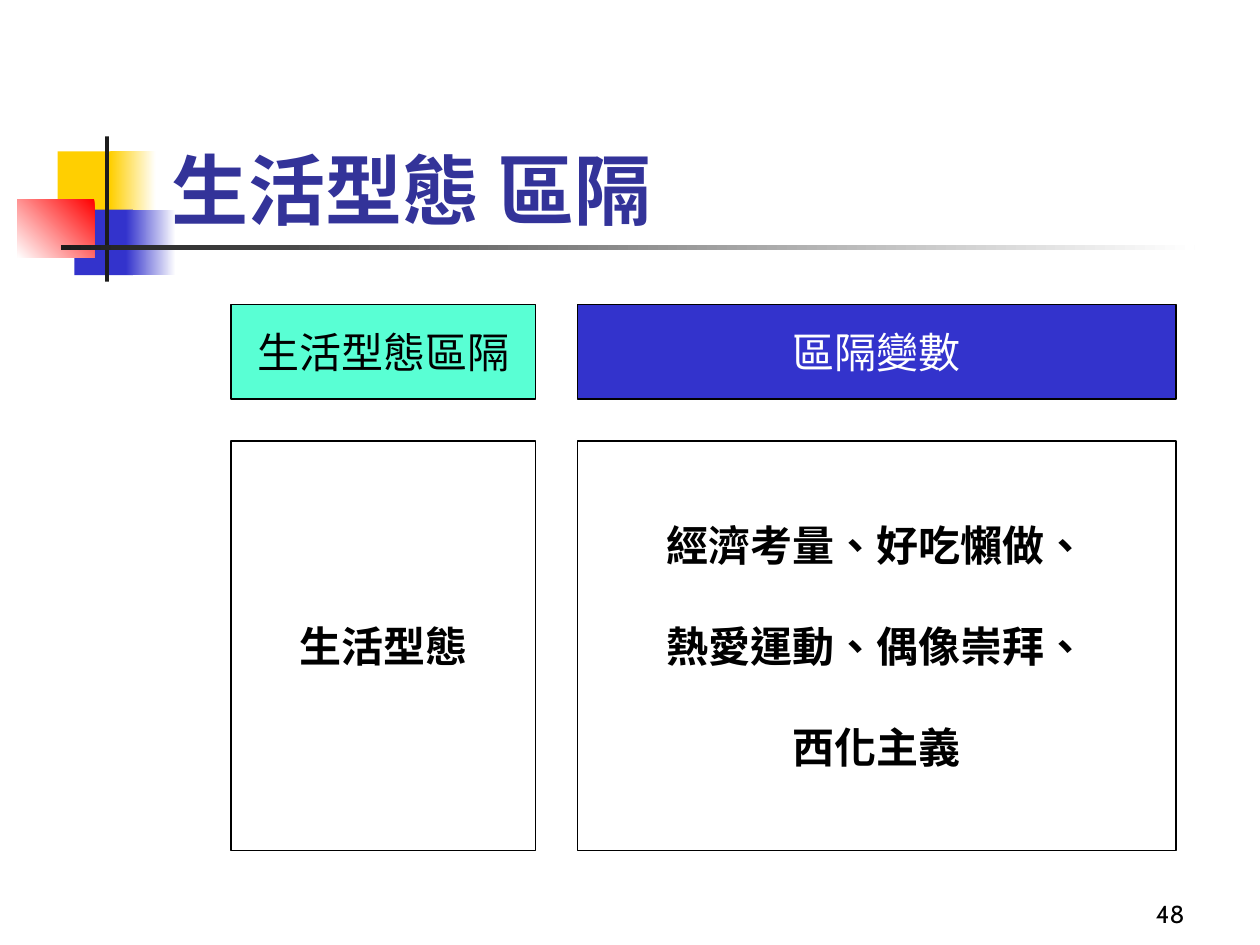
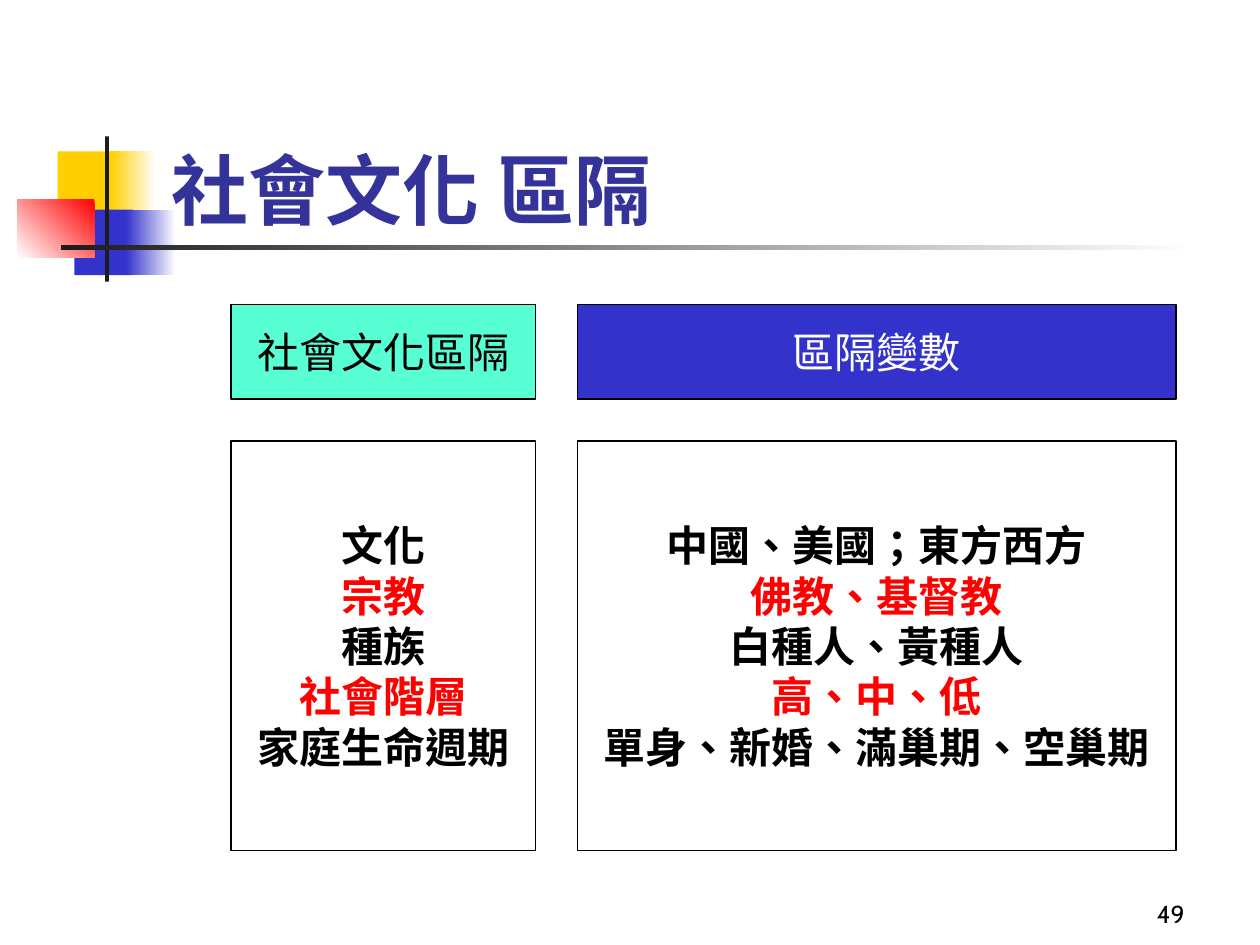
from pptx import Presentation
from pptx.dml.color import RGBColor
from pptx.enum.lang import MSO_LANGUAGE_ID
from pptx.enum.shapes import MSO_SHAPE
from pptx.enum.text import MSO_ANCHOR, MSO_AUTO_SIZE, PP_ALIGN
from pptx.util import Pt

BLACK, WHITE, RED = "000000", "FFFFFF", "FF0000"
YELLOW, BLUE, MINT = "FFCF01", "3333CC", "59FFD4"
CHARCOAL, TITLE_BLUE = "1C1C1C", "333399"

# Each body line is a text and its colour; line_gap is the space between lines.
SLIDES = [
    {
        "title": "生活型態 區隔",
        "number": "48",
        "headings": ["生活型態區隔", "區隔變數"],
        "line_gap": 28.8,
        "bodies": [
            [("生活型態", BLACK)],
            [("經濟考量、好吃懶做、", BLACK),
             ("熱愛運動、偶像崇拜、", BLACK),
             ("西化主義", BLACK)],
        ],
    },
    {
        "title": "社會文化 區隔",
        "number": "49",
        "headings": ["社會文化區隔", "區隔變數"],
        "line_gap": 0,
        "bodies": [
            [("文化", BLACK), ("宗教", RED), ("種族", BLACK),
             ("社會階層", RED), ("家庭生命週期", BLACK)],
            [("中國、美國；東方西方", BLACK), ("佛教、基督教", RED),
             ("白種人、黃種人", BLACK), ("高、中、低", RED),
             ("單身、新婚、滿巢期、空巢期", BLACK)],
        ],
    },
]

# Left, top, width, height, colour, angle of the fade to white (None: solid)
DECORATIONS = [
    (33, 86.5, 34.5, 37.5, YELLOW, None),
    (63, 86.5, 26, 37.5, YELLOW, 0),
    (42.5, 119.75, 33.5, 37.5, BLUE, None),
    (72, 119.75, 28.5, 37.5, BLUE, 0),
    (10, 113.75, 44, 33.5, RED, 225),
    (60, 78, 2.25, 83, CHARCOAL, None),
    (34.75, 140.25, 648, 2.5, CHARCOAL, 0),
]

TITLE_AREA = (91, 48, 613, 90)
NUMBER_AREA = (534, 498, 150, 36)
GRID_LEFT, GRID_TOP, GRID_GAP = 132, 174, 24
COLUMN_WIDTHS = (174, 342)
HEADING_HEIGHT, BODY_HEIGHT = 54, 234
HEADING_STYLES = [(MINT, BLACK), (BLUE, WHITE)]

TITLE_FONT = {"name": "Lato", "size": Pt(44), "bold": True}
HEADING_FONT = {"name": "Cabin", "size": Pt(24), "bold": False}
BODY_FONT = {**HEADING_FONT, "bold": True}
NUMBER_FONT = {**HEADING_FONT, "size": Pt(14)}


def rgb(value):
    return RGBColor.from_string(value)


def points(values):
    return [Pt(value) for value in values]


def write(paragraph, text, font_values, color, alignment):
    paragraph.alignment = alignment
    run = paragraph.add_run()
    run.text = text
    for name, value in font_values.items():
        setattr(run.font, name, value)
    run.font.language_id = MSO_LANGUAGE_ID.TRADITIONAL_CHINESE
    run.font.color.rgb = rgb(color)


def add_rectangle(slide, area, color):
    shape = slide.shapes.add_shape(MSO_SHAPE.RECTANGLE, *points(area))
    shape.shadow.inherit = False
    shape.fill.solid()
    shape.fill.fore_color.rgb = rgb(color)
    return shape


def add_box(slide, area, fill, lines, font_values, line_gap=0):
    box = add_rectangle(slide, area, fill)
    box.line.color.rgb = rgb(BLACK)
    box.line.width = Pt(0.75)
    frame = box.text_frame
    frame.word_wrap = False
    frame.vertical_anchor = MSO_ANCHOR.MIDDLE
    for index, (text, color) in enumerate(lines):
        paragraph = frame.add_paragraph() if index else frame.paragraphs[0]
        if index:
            paragraph.space_before = Pt(line_gap)
        write(paragraph, text, font_values, color, PP_ALIGN.CENTER)


def place_layout_title(layout):
    title = layout.placeholders[0]
    title.left, title.top, title.width, title.height = points(TITLE_AREA)
    title.text_frame.vertical_anchor = MSO_ANCHOR.BOTTOM
    title.text_frame.auto_size = MSO_AUTO_SIZE.NONE


def decorate_layout(layout, slide):
    """Draw the decorations on a slide, then move them to its layout."""
    tree = layout.element.cSld.spTree
    for index, (*area, color, fade_angle) in enumerate(DECORATIONS):
        shape = add_rectangle(slide, area, color)
        shape.line.fill.background()
        if fade_angle is not None:
            shape.fill.gradient()
            shape.fill.gradient_angle = fade_angle
            for stop, stop_color in zip(shape.fill.gradient_stops, (color, WHITE)):
                stop.color.rgb = rgb(stop_color)
        shape.element.nvSpPr.cNvPr.set("id", str(100 + index))
        tree.append(shape.element)


def add_grid(slide, content):
    left = GRID_LEFT
    body_top = GRID_TOP + HEADING_HEIGHT + GRID_GAP
    for width, heading, (fill, color), body in zip(
            COLUMN_WIDTHS, content["headings"], HEADING_STYLES, content["bodies"]):
        add_box(slide, (left, GRID_TOP, width, HEADING_HEIGHT), fill,
                [(heading, color)], HEADING_FONT)
        add_box(slide, (left, body_top, width, BODY_HEIGHT), WHITE,
                body, BODY_FONT, content["line_gap"])
        left += width + GRID_GAP


def add_number(slide, number):
    frame = slide.shapes.add_textbox(*points(NUMBER_AREA)).text_frame
    frame.word_wrap = True
    frame.vertical_anchor = MSO_ANCHOR.BOTTOM
    write(frame.paragraphs[0], number, NUMBER_FONT, BLACK, PP_ALIGN.RIGHT)


def main():
    presentation = Presentation()
    presentation.slide_width, presentation.slide_height = points((720, 540))
    layout = presentation.slide_layouts[5]
    place_layout_title(layout)
    for index, content in enumerate(SLIDES):
        slide = presentation.slides.add_slide(layout)
        if index == 0:
            decorate_layout(layout, slide)
        write(slide.shapes.title.text_frame.paragraphs[0], content["title"],
              TITLE_FONT, TITLE_BLUE, PP_ALIGN.LEFT)
        add_grid(slide, content)
        add_number(slide, content["number"])
    presentation.save("out.pptx")


if __name__ == "__main__":
    main()
